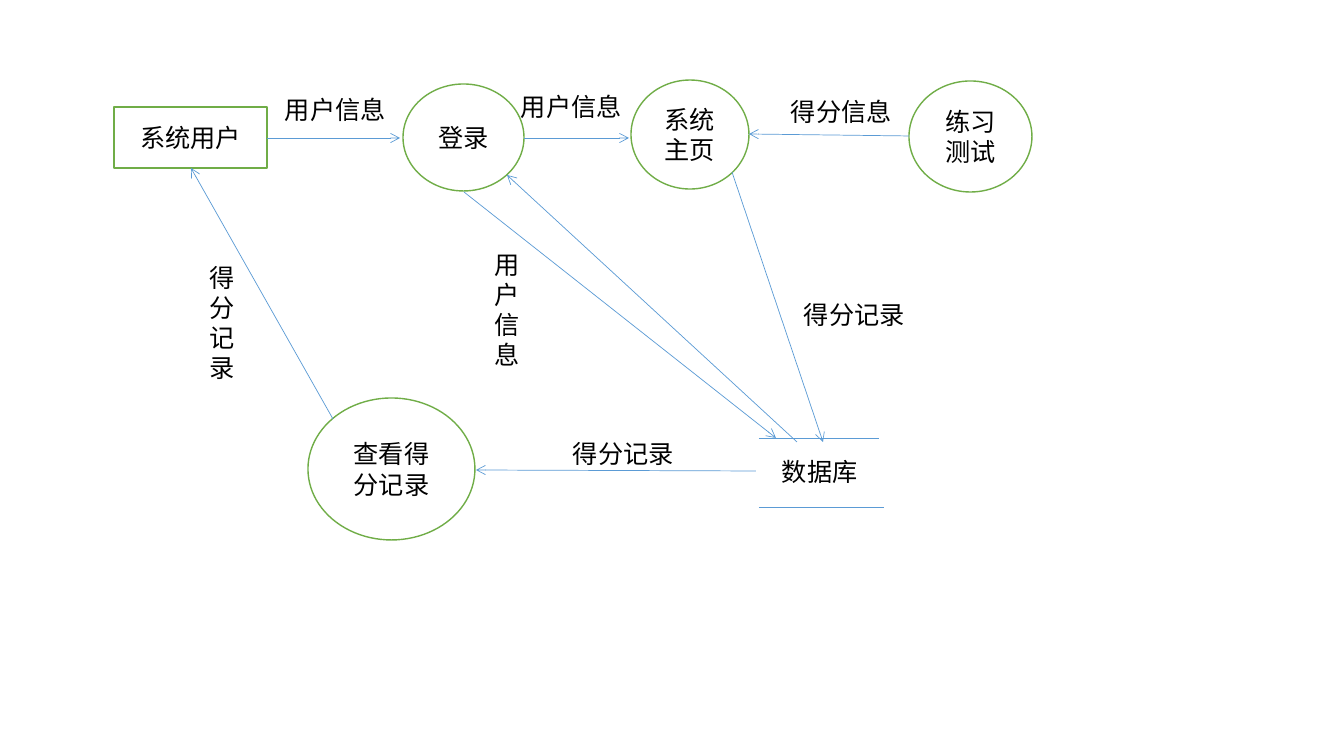
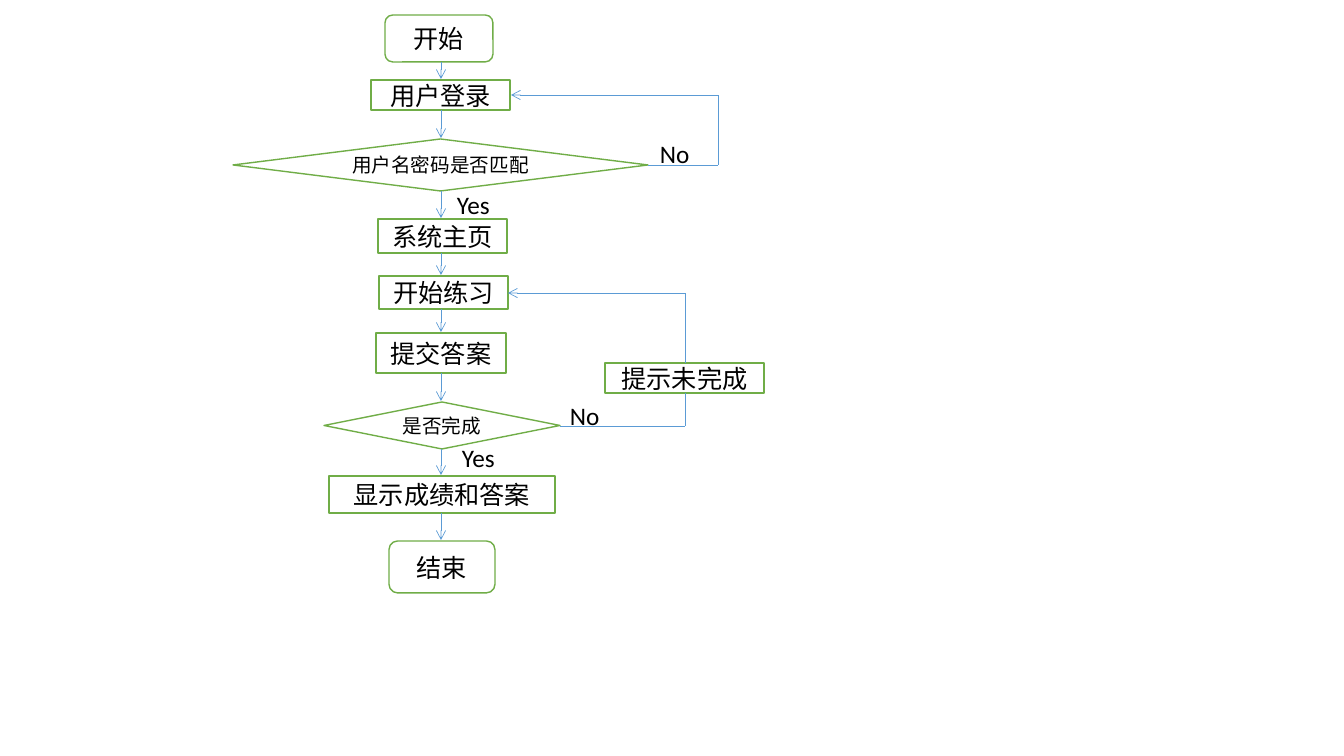
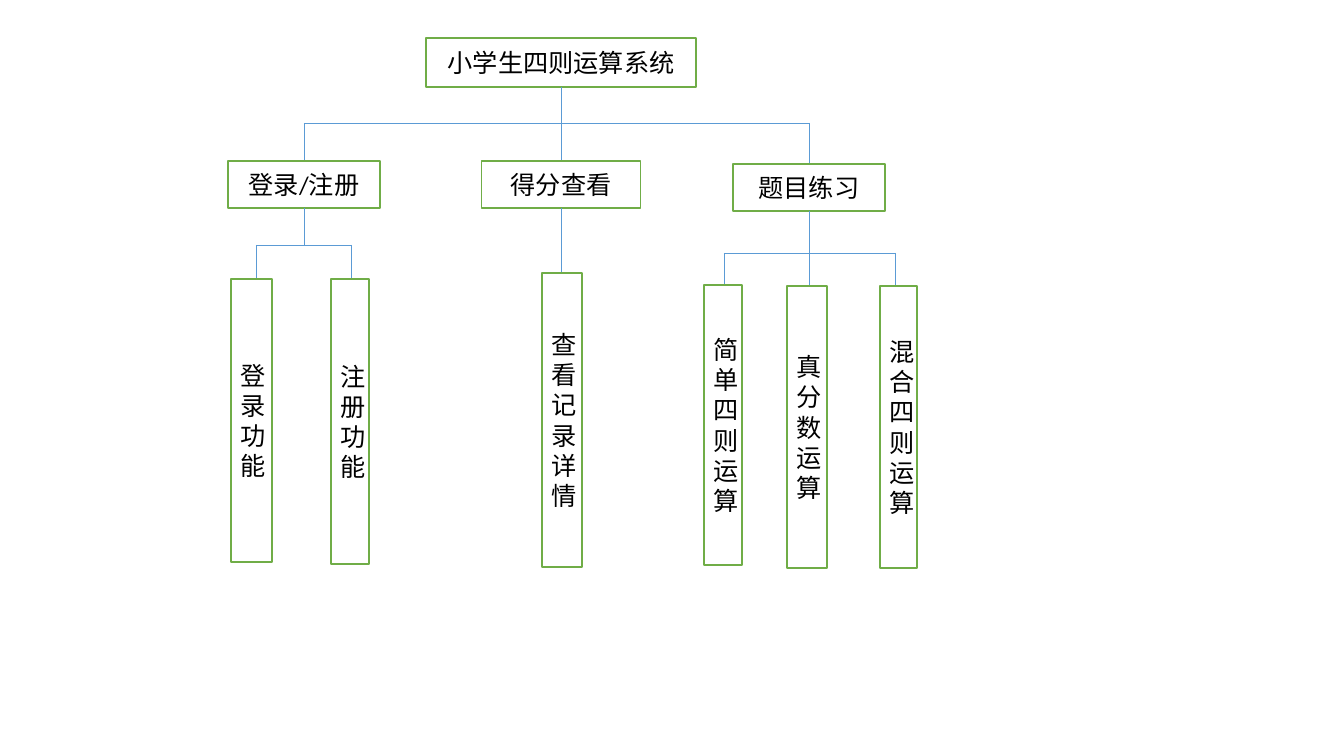
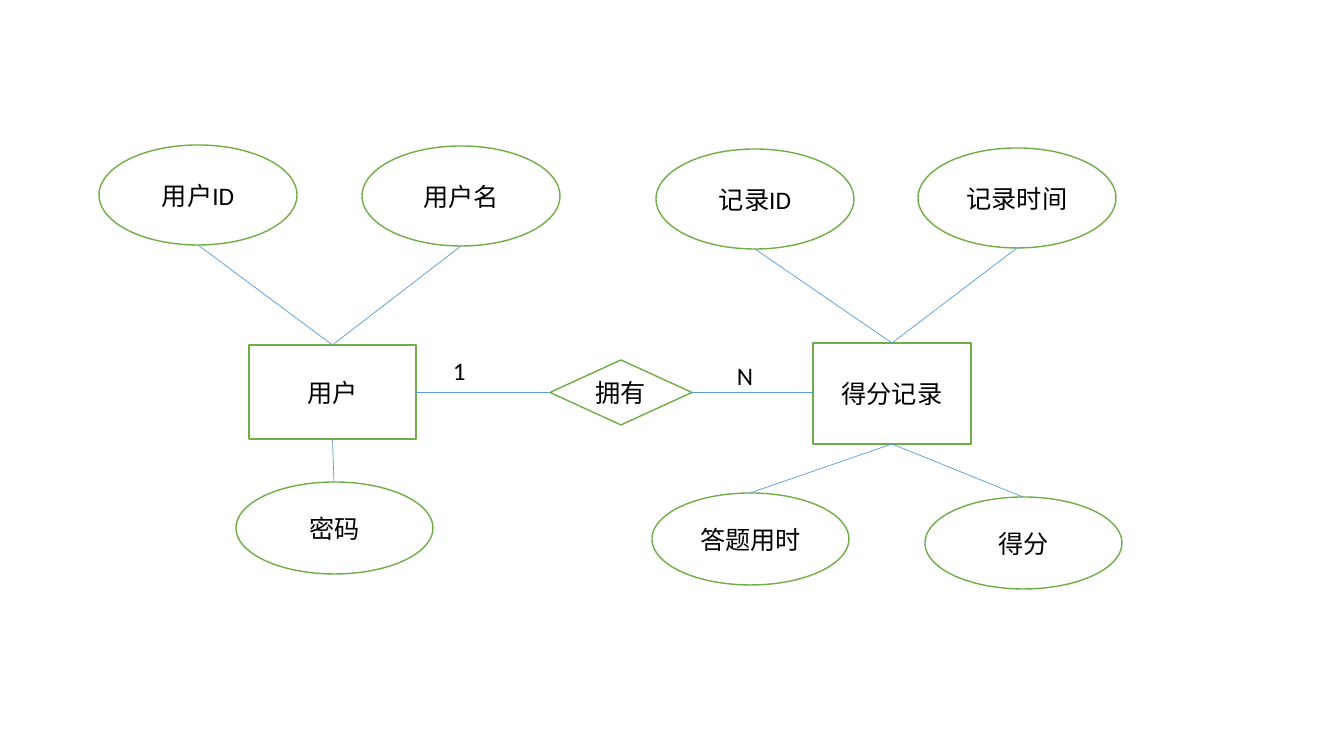
from lxml.etree import SubElement
from pptx import Presentation
from pptx.dml.color import RGBColor
from pptx.enum.shapes import MSO_CONNECTOR, MSO_SHAPE
from pptx.enum.text import MSO_ANCHOR, MSO_AUTO_SIZE, PP_ALIGN
from pptx.oxml.ns import qn
from pptx.util import Pt

PX = 914400 / 100.8
FONT = "Calibri"
INK, PAPER, GREEN, BLUE = "000000", "FFFFFF", "70AD47", "5B9BD5"
RECT, OVAL = MSO_SHAPE.RECTANGLE, MSO_SHAPE.OVAL
STEP = MSO_SHAPE.FLOWCHART_PROCESS
TEST = MSO_SHAPE.FLOWCHART_DECISION
CAP = MSO_SHAPE.FLOWCHART_ALTERNATE_PROCESS
hue = RGBColor.from_string


def put(slide, text, left, top, wide, high=40, form=None, size=18):
    area = [round(n * PX) for n in (left, top, wide, high)]
    if form is None:
        shape = slide.shapes.add_textbox(*area)
    else:
        shape = slide.shapes.add_shape(form, *area)
        shape.shadow.inherit = False
        shape.fill.solid()
        shape.fill.fore_color.rgb = hue(PAPER)
        shape.line.color.rgb = hue(GREEN)
        shape.line.width = Pt(1)
    frame = shape.text_frame
    frame.word_wrap = True
    para = frame.paragraphs[0]
    if form is None:
        frame.auto_size = MSO_AUTO_SIZE.SHAPE_TO_FIT_TEXT
    else:
        frame.vertical_anchor = MSO_ANCHOR.MIDDLE
        para.alignment = PP_ALIGN.CENTER
    run = para.add_run()
    run.text = text
    run.font.name = FONT
    run.font.size = Pt(size)
    run.font.color.rgb = hue(INK)


def link(slide, *ends, arrow=False):
    line = slide.shapes.add_connector(
        MSO_CONNECTOR.STRAIGHT, *[round(n * PX) for n in ends])
    line.line.color.rgb = hue(BLUE)
    line.line.width = Pt(0.5)
    if arrow:
        SubElement(line.line._get_or_add_ln(), qn("a:tailEnd"), type="arrow")
    SubElement(line._element.spPr, qn("a:effectLst"))


deck = Presentation()
deck.slide_width = round(1344 * PX)
deck.slide_height = round(756 * PX)
flow, steps, tree, model = [
    deck.slides.add_slide(deck.slide_layouts[6]) for _ in range(4)]

put(flow, "系统用户", 114, 107, 153, 61, form=RECT)
for text, *area in [
    ("登录", 403, 84, 121, 107),
    ("系统主页", 631, 80, 118, 109),
    ("练习测试", 909, 81, 123, 111),
    ("查看得分记录", 308, 398, 167, 142),
]:
    put(flow, text, *area, form=OVAL)
for text, *area in [
    ("用户信息", 275, 89, 138),
    ("用户信息", 511, 86, 132),
    ("得分信息", 781, 91, 130),
    ("数据库", 772, 451, 142),
    ("得分记录", 794, 294, 155),
    ("得分记录", 563, 433, 130),
    ("得分记录", 200, 257, 49, 131),
    ("用户信息", 485, 244, 37, 131),
]:
    put(flow, text, *area)
for ends in [
    (267, 138, 400, 138),
    (524, 138, 629, 138),
    (909, 136, 749, 134),
    (333, 419, 191, 168),
    (732, 172, 823, 442),
    (756, 471, 476, 470),
    (464, 192, 776, 438),
    (797, 442, 507, 175),
]:
    link(flow, *ends, arrow=True)
link(flow, 759, 438, 879, 438)
link(flow, 759, 507, 884, 507)

AXIS = 441
last = None
for text, left, top, wide, high, form, size in [
    ("开始", 385, 15, 108, 47, CAP, 18),
    ("用户登录", 371, 80, 139, 30, RECT, 18),
    ("用户名密码是否匹配", 233, 139, 415, 52, TEST, 14),
    ("系统主页", 378, 219, 129, 34, STEP, 18),
    ("开始练习", 379, 276, 129, 33, STEP, 18),
    ("提交答案", 376, 333, 130, 40, STEP, 18),
    ("是否完成", 324, 402, 236, 47, TEST, 14),
    ("显示成绩和答案", 329, 476, 226, 37, STEP, 18),
    ("结束", 389, 541, 106, 52, CAP, 18),
]:
    put(steps, text, left, top, wide, high, form=form, size=size)
    if last:
        link(steps, AXIS, last, AXIS, top - 1, arrow=True)
    last = top + high
put(steps, "提示未完成", 605, 363, 159, 30, form=RECT)
for text, *area in [
    ("Yes", 447, 184, 55),
    ("No", 650, 133, 61),
    ("Yes", 452, 437, 62),
    ("No", 560, 395, 69),
]:
    put(steps, text, *area)
for ends in [
    (648, 165, 718, 165),
    (718, 165, 718, 95),
    (560, 426, 685, 426),
    (685, 393, 685, 426),
    (685, 363, 685, 293),
]:
    link(steps, *ends)
link(steps, 718, 95, 511, 95, arrow=True)
link(steps, 685, 293, 508, 293, arrow=True)

ROOT, RAIL = 561, 123
put(tree, "小学生四则运算系统", ROOT - 135, 38, 270, 49, form=RECT)
link(tree, ROOT, 87, ROOT, RAIL)
link(tree, 304, RAIL, 809, RAIL)
for text, mid, top, wide, rail, leaves in [
    ("登录/注册", 304, 161, 152, 245, [
        ("登录功能", 231, 279, 41, 283, 256),
        ("注册功能", 331, 279, 38, 285, 351)]),
    ("得分查看", ROOT, 161, 159, 240, [
        ("查看记录详情", 542, 273, 40, 294, ROOT)]),
    ("题目练习", 809, 164, 152, 253, [
        ("简单四则运算", 704, 285, 38, 280, 724),
        ("真分数运算", 787, 286, 40, 282, 809),
        ("混合四则运算", 880, 286, 37, 282, 895)]),
]:
    link(tree, mid, RAIL, mid, top)
    put(tree, text, mid - wide / 2, top, wide, 47, form=RECT)
    link(tree, mid, top + 47, mid, rail)
    if len(leaves) > 1:
        link(tree, leaves[0][-1], rail, leaves[-1][-1], rail)
    for leaf, *area, drop in leaves:
        link(tree, drop, rail, drop, area[1])
        put(tree, leaf, *area, form=RECT)

for text, left, top, wide, high, above, below in [
    ("用户", 249, 345, 167, 94,
     [("用户ID", 99, 145), ("用户名", 362, 146)],
     [("密码", 236, 482)]),
    ("得分记录", 813, 343, 158, 101,
     [("记录ID", 656, 149), ("记录时间", 918, 148)],
     [("答题用时", 652, 493), ("得分", 925, 497)]),
]:
    mid = left + wide / 2
    put(model, text, left, top, wide, high, form=RECT)
    for field, x, y in above:
        put(model, field, x, y, 198, 100, form=OVAL)
        link(model, x + 99, y + 100, mid, top)
    for field, x, y in below:
        put(model, field, x, y, 197, 92, form=OVAL)
        link(model, x + 98, y, mid, top + high)
put(model, "拥有", 550, 360, 142, 65, form=TEST)
link(model, 416, 392, 550, 392)
link(model, 692, 392, 813, 392)
put(model, "1", 443, 350, 52)
put(model, "N", 727, 355, 69)

deck.save("out.pptx")
